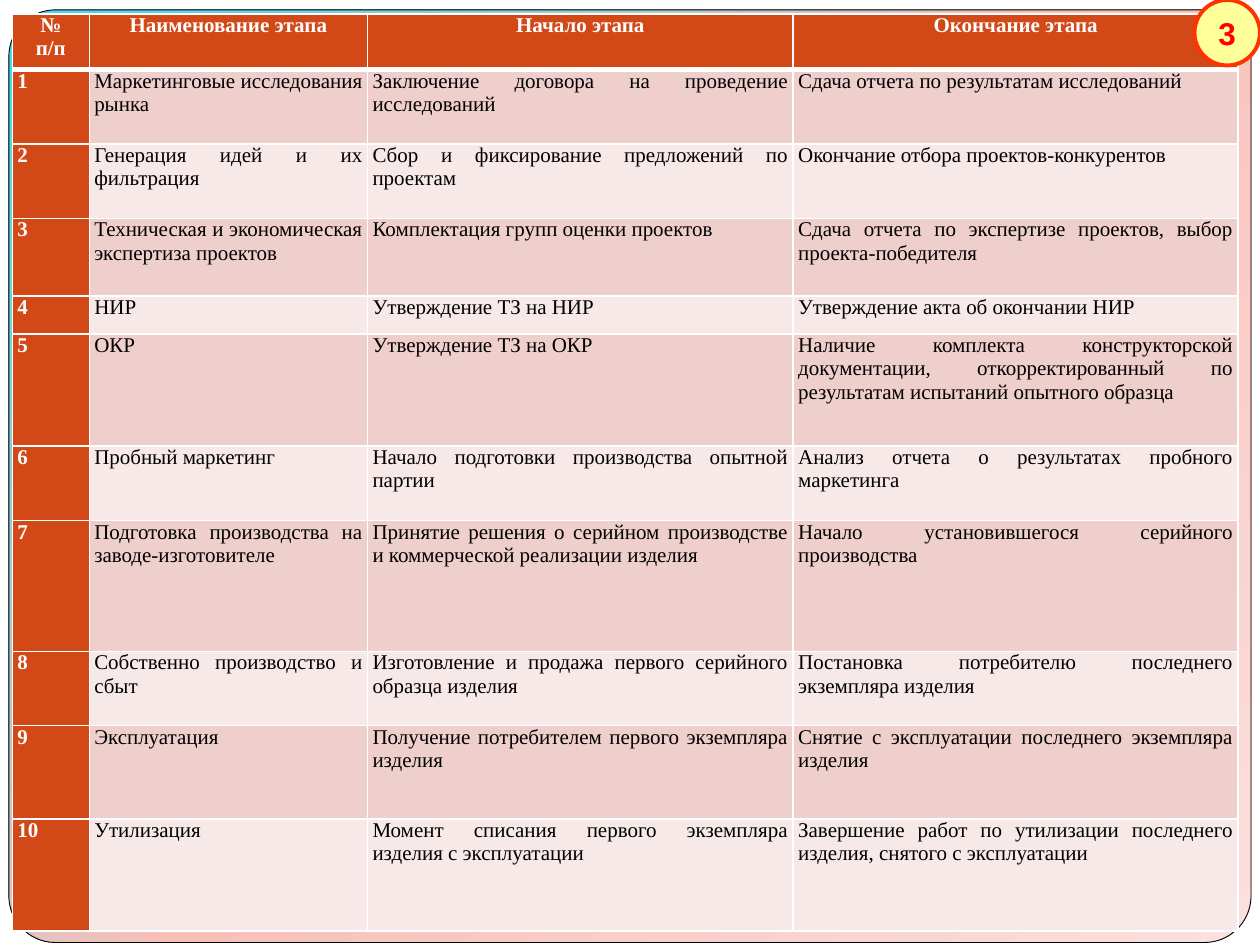
from lxml.etree import SubElement
from pptx import Presentation
from pptx.dml.color import RGBColor
from pptx.enum.shapes import MSO_SHAPE as Shape
from pptx.enum.text import MSO_ANCHOR as Anchor, PP_ALIGN as Align
from pptx.oxml import parse_xml
from pptx.oxml.ns import nsdecls, qn
from pptx.util import Cm, Pt

THEME = {
    "white": "FFFFFF",
    "black": "000000",
    "accent": "D34817",
    "bands": ("EFCFCC", "F7E9E8"),
    "gradient": ((0, "43D9E9"), (50, "F9BFB9"), (100, "FBE0DD")),
    "badge_fill": "FFFF99",
    "badge_line": "FF3300",
    "badge_text": "FF0000",
    "table_font": "Times New Roman",
    "badge_font": "Arial",
    "table_size": 12,
    "badge_size": 18,
}

COLUMN_WIDTHS = (1.55, 5.61, 8.58, 8.97)
ROW_HEIGHTS = (1.12, 1.5, 1.5, 1.57, 0.76, 2.26, 1.5, 2.64, 1.5, 1.88, 2.26)
HEADER = ("№\nп/п", "Наименование этапа", "Начало этапа", "Окончание этапа")
STAGES = (
    ("Маркетинговые исследования рынка",
     "Заключение договора на проведение исследований",
     "Сдача отчета по результатам исследований"),
    ("Генерация идей и их фильтрация",
     "Сбор и фиксирование предложений по проектам",
     "Окончание отбора проектов-конкурентов"),
    ("Техническая и экономическая экспертиза проектов",
     "Комплектация групп оценки проектов",
     "Сдача отчета по экспертизе проектов, выбор проекта-победителя"),
    ("НИР",
     "Утверждение ТЗ на НИР",
     "Утверждение акта об окончании НИР"),
    ("ОКР",
     "Утверждение ТЗ на ОКР",
     "Наличие комплекта конструкторской документации, откорректированный "
     "по результатам испытаний опытного образца"),
    ("Пробный маркетинг",
     "Начало подготовки производства опытной партии",
     "Анализ отчета о результатах пробного маркетинга"),
    ("Подготовка производства на заводе-изготовителе",
     "Принятие решения о серийном производстве и коммерческой реализации изделия",
     "Начало установившегося серийного производства"),
    ("Собственно производство и сбыт",
     "Изготовление и продажа первого серийного образца изделия",
     "Постановка потребителю последнего экземпляра изделия"),
    ("Эксплуатация",
     "Получение потребителем первого экземпляра изделия",
     "Снятие с эксплуатации последнего экземпляра изделия"),
    ("Утилизация",
     "Момент списания первого экземпляра изделия с эксплуатации",
     "Завершение работ по утилизации последнего изделия, снятого с эксплуатации"),
)


def write_text(frame, text, *, font, size, color, bold=False, align=Align.CENTER):
    frame.text = text
    for paragraph in frame.paragraphs:
        paragraph.alignment = align
        for run in paragraph.runs:
            run.font.name = font
            run.font.size = Pt(size)
            run.font.bold = bold
            run.font.color.rgb = RGBColor.from_string(color)


def add_plain_shape(kind, left, top, width, height, fill):
    shape = slide.shapes.add_shape(kind, Cm(left), Cm(top), Cm(width), Cm(height))
    shape.shadow.inherit = False
    shape.line.fill.background()
    shape.fill.solid()
    shape.fill.fore_color.rgb = RGBColor.from_string(fill)
    return shape


presentation = Presentation()
presentation.slide_width = Cm(25.4)
presentation.slide_height = Cm(19.05)
slide = presentation.slides.add_slide(presentation.slide_layouts[6])

add_plain_shape(Shape.RECTANGLE, 0, 0, 25.4, 19.05, THEME["white"])
panel = add_plain_shape(Shape.ROUNDED_RECTANGLE, 0.18, 0.2, 25.04, 18.8, THEME["white"])
panel.adjustments[0] = 0.05
panel.line.color.rgb = RGBColor.from_string(THEME["black"])
panel.line.width = Pt(0.5)

for fill in (slide.background.fill, panel.fill):
    fill.gradient()
    fill.gradient_angle = 315
for stop_list in slide.element.xpath(".//a:gsLst"):
    for stop in list(stop_list):
        stop_list.remove(stop)
    for position, color in THEME["gradient"]:
        stop = SubElement(stop_list, qn("a:gs"), pos=str(position * 1000))
        SubElement(stop, qn("a:srgbClr"), val=color)

table = slide.shapes.add_table(
    len(ROW_HEIGHTS), len(COLUMN_WIDTHS),
    Cm(0.25), Cm(0.28), Cm(sum(COLUMN_WIDTHS)), Cm(sum(ROW_HEIGHTS)),
).table
for column, width in zip(table.columns, COLUMN_WIDTHS):
    column.width = Cm(width)
for row, height in zip(table.rows, ROW_HEIGHTS):
    row.height = Cm(height)

rows = [HEADER] + [(str(number), *stage) for number, stage in enumerate(STAGES, 1)]
for row_index, texts in enumerate(rows):
    for column_index, text in enumerate(texts):
        is_header = row_index == 0
        is_accent = is_header or column_index == 0
        cell = table.cell(row_index, column_index)
        cell.margin_left = cell.margin_right = Cm(0.1)
        cell.margin_top = cell.margin_bottom = 0
        write_text(
            cell.text_frame, text,
            font=THEME["table_font"], size=THEME["table_size"], bold=is_accent,
            color=THEME["white"] if is_accent else THEME["black"],
            align=Align.CENTER if is_header else Align.JUSTIFY,
        )
        cell.fill.solid()
        cell.fill.fore_color.rgb = RGBColor.from_string(
            THEME["accent"] if is_accent else THEME["bands"][(row_index - 1) % 2])
        borders = {"lnL": 1, "lnR": 1,
                   "lnT": 3 if row_index == 1 else 1,
                   "lnB": 3 if is_header else 1}
        for position, (side, width) in enumerate(borders.items()):
            border = parse_xml(
                f'<a:{side} {nsdecls("a")} w="{Pt(width)}"><a:solidFill>'
                f'<a:srgbClr val="{THEME["white"]}"/></a:solidFill></a:{side}>')
            cell._tc.get_or_add_tcPr().insert(position, border)

badge = add_plain_shape(Shape.OVAL, 24.08, 0, 1.32, 1.32, THEME["badge_fill"])
badge.line.color.rgb = RGBColor.from_string(THEME["badge_line"])
badge.line.width = Pt(2.25)
badge.text_frame.word_wrap = False
badge.text_frame.vertical_anchor = Anchor.MIDDLE
write_text(badge.text_frame, "3", font=THEME["badge_font"], size=THEME["badge_size"],
           color=THEME["badge_text"], bold=True)

presentation.save("out.pptx")
